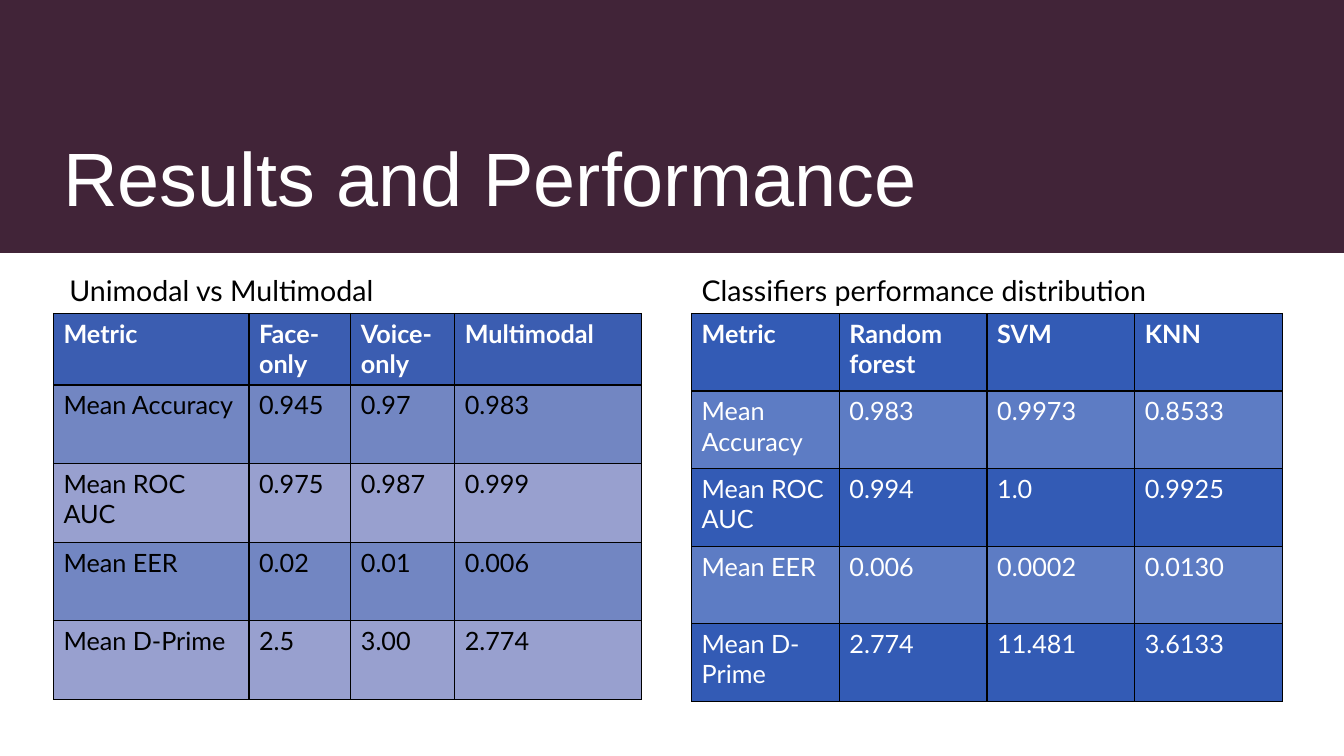
import pptx
import pptx.dml.color
import pptx.enum.shapes
import pptx.enum.text
import pptx.oxml
import pptx.oxml.ns
import pptx.util

Inches = pptx.util.Inches
RGBColor = pptx.dml.color.RGBColor

PLUM = RGBColor(0x41, 0x24, 0x38)
WHITE = RGBColor(0xFF, 0xFF, 0xFF)
BLACK = RGBColor(0x00, 0x00, 0x00)
HEADER_BLUE = RGBColor(0x3B, 0x5D, 0xB1)
MID_BLUE = RGBColor(0x72, 0x86, 0xC2)
PALE_BLUE = RGBColor(0x98, 0xA0, 0xCF)
DEEP_BLUE = RGBColor(0x33, 0x5B, 0xB5)
SOFT_BLUE = RGBColor(0x5D, 0x7C, 0xC4)

MODALITIES = [
    ["Metric", "Face-only", "Voice-only", "Multimodal"],
    ["Mean Accuracy", "0.945", "0.97", "0.983"],
    ["Mean ROC AUC", "0.975", "0.987", "0.999"],
    ["Mean EER", "0.02", "0.01", "0.006"],
    ["Mean D-Prime", "2.5", "3.00", "2.774"],
]
CLASSIFIERS = [
    ["Metric", "Random forest", "SVM", "KNN"],
    ["Mean Accuracy", "0.983", "0.9973", "0.8533"],
    ["Mean ROC AUC", "0.994", "1.0", "0.9925"],
    ["Mean EER", "0.006", "0.0002", "0.0130"],
    ["Mean D-Prime", "2.774", "11.481", "3.6133"],
]


class ResultsSlide:
    heading_font = "Arial"
    body_font = "Lato"
    cell_size = 18

    def __init__(self, slide):
        self.slide = slide

    def band(self, left, top, width, height, color):
        band = self.slide.shapes.add_shape(
            pptx.enum.shapes.MSO_SHAPE.RECTANGLE,
            Inches(left), Inches(top), Inches(width), Inches(height))
        band.shadow.inherit = False
        band.fill.solid()
        band.fill.fore_color.rgb = color
        band.line.fill.background()

    def styled_run(self, frame, words, font, size, color, bold=False):
        run = frame.paragraphs[0].add_run()
        run.text = words
        run.font.name = font
        run.font.size = pptx.util.Pt(size)
        run.font.bold = bold
        run.font.color.rgb = color

    def text(self, left, top, width, height, words, font, size, color):
        frame = self.slide.shapes.add_textbox(
            Inches(left), Inches(top), Inches(width), Inches(height)).text_frame
        frame.word_wrap = True
        frame.vertical_anchor = pptx.enum.text.MSO_ANCHOR.BOTTOM
        self.styled_run(frame, words, font, size, color)

    def outline(self, cell):
        """Draw a thin black border on all four sides of a cell."""
        properties = cell._tc.get_or_add_tcPr()
        for position, side in enumerate(("lnL", "lnR", "lnT", "lnB")):
            properties.insert(position, pptx.oxml.parse_xml(
                f'<a:{side} {pptx.oxml.ns.nsdecls("a")} w="12700"><a:solidFill>'
                f'<a:srgbClr val="{BLACK}"/></a:solidFill></a:{side}>'))

    def table(self, left, top, widths, heights, rows, header_fill, band_fills, body_color):
        """Add a table whose body rows alternate between the two band fills."""
        table = self.slide.shapes.add_table(
            len(rows), len(widths), Inches(left), Inches(top),
            Inches(sum(widths)), Inches(sum(heights))).table
        table.horz_banding = False
        for column, width in zip(table.columns, widths):
            column.width = Inches(width)
        for r, (values, height) in enumerate(zip(rows, heights)):
            table.rows[r].height = Inches(height)
            header = r == 0
            for c, value in enumerate(values):
                cell = table.cell(r, c)
                cell.fill.solid()
                cell.fill.fore_color.rgb = header_fill if header else band_fills[(r - 1) % 2]
                self.outline(cell)
                self.styled_run(cell.text_frame, value, self.body_font, self.cell_size,
                                WHITE if header else body_color, bold=header)

    def caption(self, left, width, words):
        self.text(left, 2.66, width, 0.44, words, self.body_font, 20.4, BLACK)


def main():
    deck = pptx.Presentation()
    deck.slide_width = Inches(13.33)
    deck.slide_height = Inches(7.5)
    results = ResultsSlide(deck.slides.add_slide(deck.slide_layouts[6]))

    results.band(0, 0, 13.33, 2.51, PLUM)
    results.text(0.53, 0.4, 11.89, 1.85, "Results and Performance",
                 results.heading_font, 54, WHITE)

    results.caption(0.59, 5.83, "Unimodal vs Multimodal")
    results.table(0.53, 3.11, [1.94, 1.01, 1.03, 1.85], [0.71] + [0.78] * 4,
                  MODALITIES, HEADER_BLUE, (MID_BLUE, PALE_BLUE), BLACK)

    results.caption(6.86, 5.86, "Classifiers performance distribution")
    results.table(6.86, 3.11, [5.86 / 4] * 4, [0.77] * 5,
                  CLASSIFIERS, DEEP_BLUE, (SOFT_BLUE, DEEP_BLUE), WHITE)

    deck.save("out.pptx")


if __name__ == "__main__":
    main()
